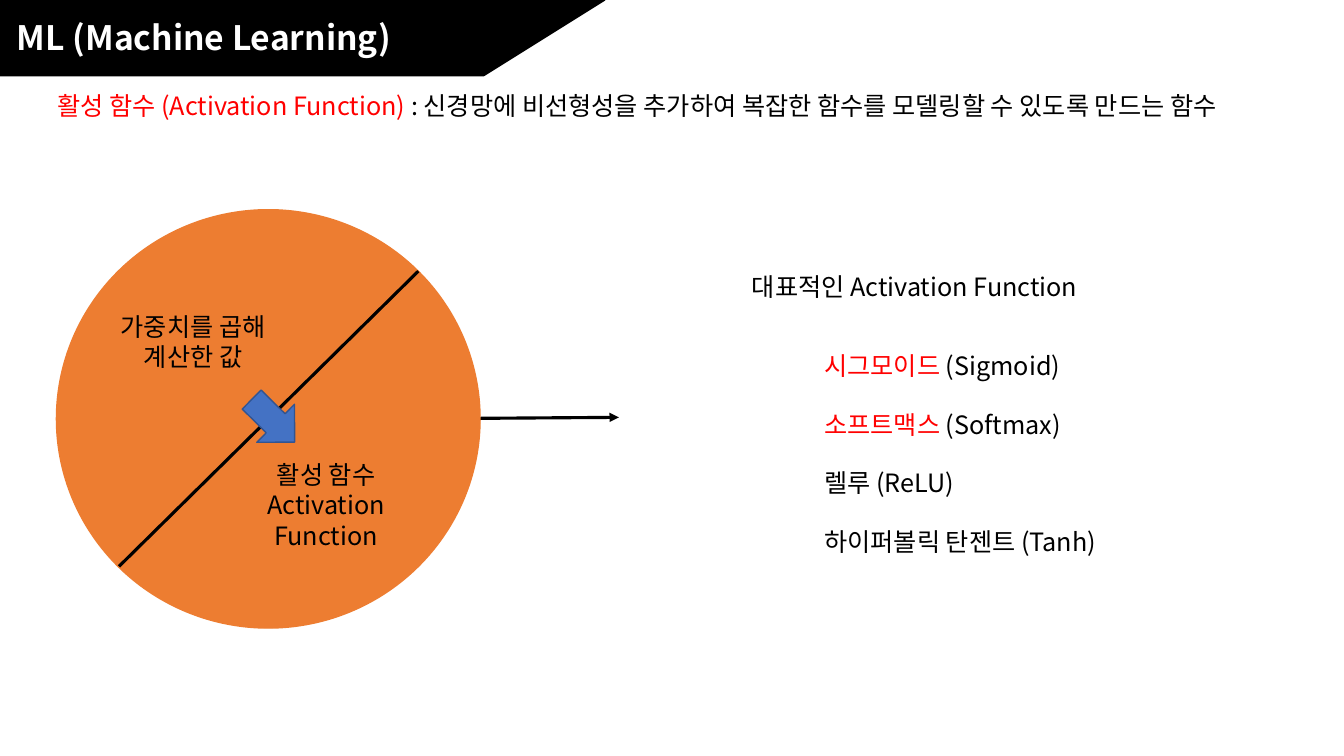
from pptx import Presentation
from pptx.dml.color import RGBColor
from pptx.enum.shapes import MSO_CONNECTOR, MSO_SHAPE as Shape
from pptx.enum.text import MSO_AUTO_SIZE, PP_ALIGN as Align
from pptx.oxml.ns import qn
from pptx.util import Pt
from lxml.etree import SubElement

FONT = "Noto Sans CJK KR"
BLACK, RED, WHITE, ORANGE = "000000", "FF0000", "FFFFFF", "ED7D31"
color = RGBColor.from_string

deck = Presentation()
deck.slide_width, deck.slide_height = Pt(960), Pt(540)
slide = deck.slides.add_slide(deck.slide_layouts[6])
shapes = slide.shapes


def add_figure(preset, box, fill, outline):
    figure = shapes.add_shape(preset, *map(Pt, box))
    figure.shadow.inherit = False
    figure.fill.solid()
    figure.fill.fore_color.rgb = color(fill)
    figure.line.color.rgb = color(outline)
    figure.line.width = Pt(1)
    return figure


def add_label(box, paragraphs, align=Align.LEFT, size=18, bold=False):
    frame = shapes.add_textbox(*map(Pt, box)).text_frame
    frame.word_wrap = True
    frame.auto_size = MSO_AUTO_SIZE.SHAPE_TO_FIT_TEXT
    for number, runs in enumerate(paragraphs):
        paragraph = frame.add_paragraph() if number else frame.paragraphs[0]
        paragraph.alignment = align
        for words, ink in runs:
            run = paragraph.add_run()
            run.text = words
            run.font.size = Pt(size)
            run.font.bold = bold
            run.font.color.rgb = color(ink)
            run.font.name = FONT
            SubElement(run.font._element, qn("a:ea"), typeface=FONT)


add_figure(Shape.OVAL, (40.3, 149.8, 302.6, 298.8), ORANGE, ORANGE)

divider, output = [
    shapes.add_connector(MSO_CONNECTOR.STRAIGHT, *map(Pt, ends))
    for ends in ((298.8, 193.7, 85, 404.6), (343.4, 298.8, 442.1, 298.1))
]
for connector in (divider, output):
    connector.line.color.rgb = color(BLACK)
    connector.line.width = Pt(2.25)
    SubElement(connector._element.spPr, qn("a:effectLst"))
SubElement(output.line._get_or_add_ln(), qn("a:tailEnd"), type="triangle")

add_label((70.6, 218.9, 134.6, 51.1), [[("가중치를 곱해 계산한 값", BLACK)]], Align.CENTER)
add_label((144.7, 324.7, 176.4, 51.1),
          [[("활성 함수", BLACK)], [("Activation Function", BLACK)]], Align.CENTER)
activation = add_figure(Shape.RIGHT_ARROW, (173.5, 281.5, 43.2, 38.2), "4472C4", "325491")
activation.rotation = 44.7

add_label((33.8, 61.2, 926, 28.8), [[
    ("활성 함수 (Activation Function) ", RED),
    (": 신경망에 비선형성을 추가하여 복잡한 함수를 모델링할 수 있도록 만드는 함수", BLACK),
]])
add_label((530, 190, 293, 28.8), [[("대표적인 Activation Function", BLACK)]])

functions = [
    [("시그모이드 ", RED), ("(Sigmoid)", BLACK)],
    [("소프트맥스 ", RED), ("(Softmax)", BLACK)],
    [("렐루 (ReLU)", BLACK)],
    [("하이퍼볼릭 탄젠트 (Tanh)", BLACK)],
]
for row, function in enumerate(functions):
    add_label((581.8, 247 + 41.8 * row, 277, 28.8), [function])

add_figure(Shape.RECTANGLE, (0, 0, 142.6, 54), BLACK, BLACK)
add_figure(Shape.FLOWCHART_DATA, (0, 0, 432, 54), BLACK, BLACK)
add_label((5, 8.6, 291.6, 36), [[("ML (Machine Learning)", WHITE)]], size=24, bold=True)

deck.save("out.pptx")
